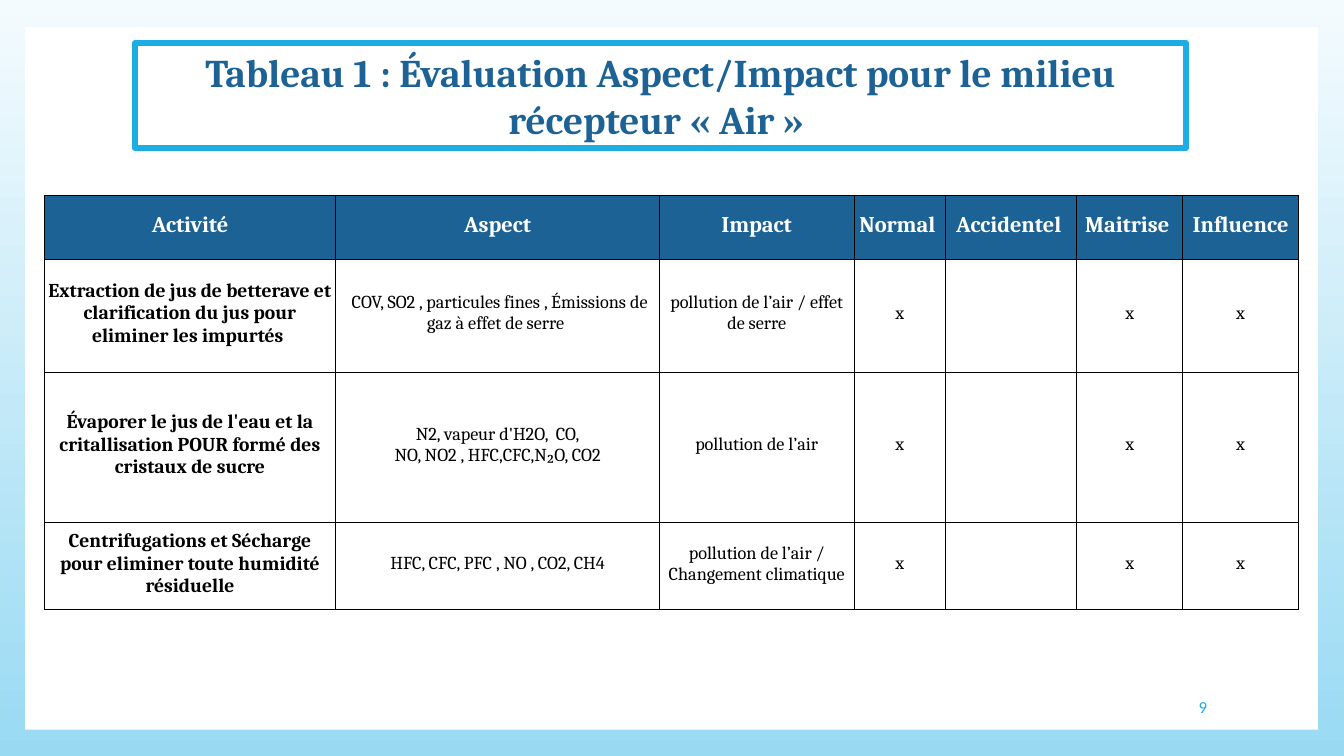
import pptx
import pptx.util
import pptx.dml.color
import pptx.enum.shapes
import pptx.enum.text
import pptx.oxml.ns
from dataclasses import dataclass
from lxml import etree

Inches = pptx.util.Inches
Pt = pptx.util.Pt
ALIGN = pptx.enum.text.PP_ALIGN
MIDDLE = pptx.enum.text.MSO_ANCHOR.MIDDLE


@dataclass(frozen=True)
class Theme:
    blue: str = "1D6294"
    cyan: str = "1CADE4"
    white: str = "FFFFFF"
    black: str = "000000"
    sky_top: str = "F4FBFE"
    sky_bottom: str = "99DAF3"
    serif: str = "Cambria"
    sans: str = "Calibri"
    title: float = 28
    header: float = 16
    activity: float = 14
    body: float = 13
    number: float = 12
    frame_line: float = 4.5
    grid_line: float = 0.5


@dataclass(frozen=True)
class Column:
    heading: str
    width: float


@dataclass(frozen=True)
class Row:
    activity: str
    aspect: str
    impact: str
    height: float
    marks: tuple[str, ...] = ("x", "", "x", "x")

    def texts(self) -> tuple[str, ...]:
        return (self.activity, self.aspect, self.impact, *self.marks)


T = Theme()
HEADER_HEIGHT = 0.63
COLUMNS = [
    Column("Activité", 2.89), Column("Aspect", 3.21), Column("Impact", 1.93),
    Column("Normal ", 0.91), Column("Accidentel ", 1.3),
    Column("Maitrise ", 1.05), Column("Influence", 1.15),
]
ROWS = [
    Row("Extraction de jus de betterave et clarification du jus pour eliminer les impurtés ",
        " COV, SO2 , particules fines , Émissions de gaz à effet de serre ",
        "pollution de l’air / effet de serre", 1.12),
    Row("Évaporer le jus de l'eau et la critallisation POUR formé des cristaux de sucre",
        "N2, vapeur d'H2O,  CO,\nNO, NO2 , HFC,CFC,N₂O, CO2",
        "pollution de l’air", 1.49),
    Row("Centrifugations et Sécharge pour eliminer toute humidité résiduelle",
        "HFC, CFC, PFC , NO , CO2, CH4",
        "pollution de l’air / Changement climatique", 0.87),
]


def rgb(color: str) -> pptx.dml.color.RGBColor:
    return pptx.dml.color.RGBColor.from_string(color)


def write(tf, text: str, *, size: float, color: str = T.black, font: str = T.serif,
          bold: bool = False, align=ALIGN.CENTER) -> None:
    """Fill a text frame, one paragraph per line of text."""
    tf.word_wrap = True
    for i, line in enumerate(text.split("\n")):
        p = tf.paragraphs[0] if i == 0 else tf.add_paragraph()
        p.alignment = align
        r = p.add_run()
        r.text = line
        r.font.size, r.font.bold, r.font.name = Pt(size), bold, font
        r.font.color.rgb = rgb(color)


def add_box(s, left: float, top: float, width: float, height: float, line: str = ""):
    sp = s.shapes.add_shape(pptx.enum.shapes.MSO_SHAPE.RECTANGLE,
                            Inches(left), Inches(top), Inches(width), Inches(height))
    sp.shadow.inherit = False
    sp.fill.solid()
    sp.fill.fore_color.rgb = rgb(T.white)
    if line:
        sp.line.color.rgb = rgb(line)
        sp.line.width = Pt(T.frame_line)
    else:
        sp.line.fill.background()
    return sp


def add_borders(cell) -> None:
    qn = pptx.oxml.ns.qn
    tc_pr = cell._tc.get_or_add_tcPr()
    for side in ("a:lnL", "a:lnR", "a:lnT", "a:lnB"):
        ln = etree.SubElement(tc_pr, qn(side), w=str(Pt(T.grid_line)))
        fill = etree.SubElement(ln, qn("a:solidFill"))
        etree.SubElement(fill, qn("a:srgbClr"), val=T.black)


def format_cell(cell, fill: str = "") -> None:
    cell.vertical_anchor = MIDDLE
    cell.margin_left = cell.margin_right = cell.margin_top = Inches(0.01)
    cell.margin_bottom = Inches(0.05)
    add_borders(cell)
    if fill:
        cell.fill.solid()
        cell.fill.fore_color.rgb = rgb(fill)
    else:
        cell.fill.background()


def add_assessment_table(s, left: float, top: float) -> None:
    heights = [HEADER_HEIGHT] + [row.height for row in ROWS]
    widths = [column.width for column in COLUMNS]
    table = s.shapes.add_table(len(heights), len(widths), Inches(left), Inches(top),
                               Inches(sum(widths)), Inches(sum(heights))).table
    table.first_row = table.horz_banding = False
    for i, height in enumerate(heights):
        table.rows[i].height = Inches(height)

    for j, column in enumerate(COLUMNS):
        table.columns[j].width = Inches(column.width)
        cell = table.cell(0, j)
        format_cell(cell, T.blue)
        write(cell.text_frame, column.heading, size=T.header, color=T.white, bold=True)

    for i, row in enumerate(ROWS, start=1):
        for j, text in enumerate(row.texts()):
            cell = table.cell(i, j)
            format_cell(cell)
            if text:
                write(cell.text_frame, text, size=T.body if j else T.activity, bold=j == 0)


def main() -> None:
    prs = pptx.Presentation()
    prs.slide_width, prs.slide_height = Inches(13.33), Inches(7.5)
    s = prs.slides.add_slide(prs.slide_layouts[6])

    # Sky gradient with a white panel
    bg = s.background.fill
    bg.gradient()
    bg.gradient_angle = 270
    for stop, color in zip(bg.gradient_stops, (T.sky_top, T.sky_bottom)):
        stop.color.rgb = rgb(color)
    add_box(s, 0.25, 0.27, 12.82, 6.97)

    # Slide number
    number = s.shapes.add_textbox(Inches(10.2), Inches(6.81), Inches(1.87), Inches(0.4))
    number.text_frame.vertical_anchor = MIDDLE
    write(number.text_frame, "9", size=T.number, color=T.cyan, font=T.sans,
          align=ALIGN.RIGHT)

    # Assessment table
    add_assessment_table(s, 0.44, 1.94)

    # Framed title
    title = add_box(s, 1.34, 0.43, 10.42, 1.04, line=T.cyan)
    title.text_frame.vertical_anchor = MIDDLE
    write(title.text_frame,
          "Tableau 1 : Évaluation Aspect/Impact pour le milieu récepteur « Air » ",
          size=T.title, color=T.blue, bold=True)

    prs.save("out.pptx")


if __name__ == "__main__":
    main()
